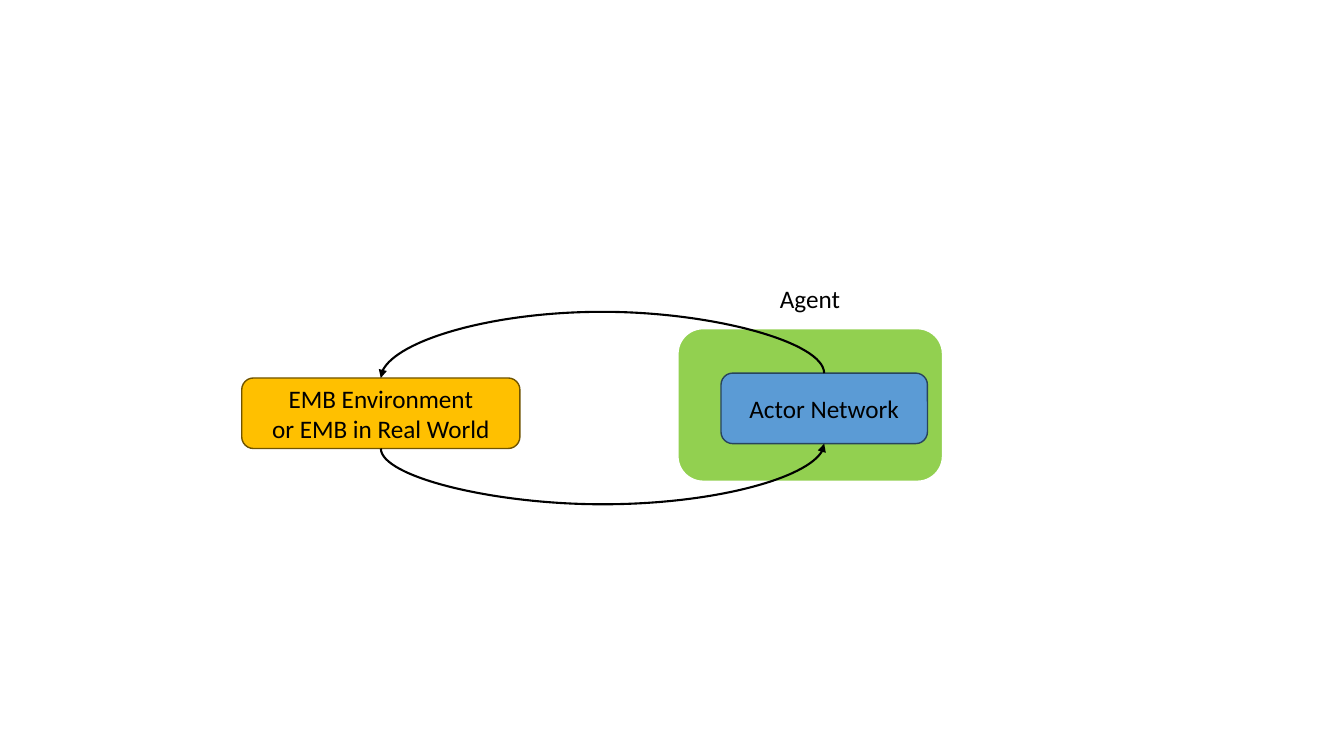
import pptx
import pptx.dml.color
import pptx.enum.shapes
import pptx.enum.text
import pptx.oxml.ns
import pptx.util
from lxml import etree

Pt = pptx.util.Pt
RGBColor = pptx.dml.color.RGBColor
qn = pptx.oxml.ns.qn
PP_ALIGN = pptx.enum.text.PP_ALIGN

BLACK = RGBColor(0x00, 0x00, 0x00)
WHITE = RGBColor(0xFF, 0xFF, 0xFF)
GREEN = RGBColor(0x92, 0xD0, 0x50)
BLUE = RGBColor(0x5B, 0x9B, 0xD5)
NAVY = RGBColor(0x28, 0x44, 0x5D)
AMBER = RGBColor(0xFF, 0xC0, 0x00)
BROWN = RGBColor(0x70, 0x54, 0x00)


class Diagram:
    """Draws boxes, labels and curved arrows in one style on one slide."""

    font_name = "Calibri"
    font_size = Pt(18)
    arrow_width = Pt(1.5)

    def __init__(self, slide):
        self.shapes = slide.shapes

    def add_lines(self, frame, lines, align):
        for index, line in enumerate(lines):
            paragraph = frame.add_paragraph() if index else frame.paragraphs[0]
            paragraph.alignment = align
            run = paragraph.add_run()
            run.text = line
            run.font.name = self.font_name
            run.font.size = self.font_size
            run.font.color.rgb = BLACK

    def box(self, left, top, width, height, fill, outline, outline_width, lines=()):
        box = self.shapes.add_shape(
            pptx.enum.shapes.MSO_SHAPE.ROUNDED_RECTANGLE,
            Pt(left), Pt(top), Pt(width), Pt(height))
        box.shadow.inherit = False
        box.fill.solid()
        box.fill.fore_color.rgb = fill
        box.line.color.rgb = outline
        box.line.width = Pt(outline_width)
        box.text_frame.vertical_anchor = pptx.enum.text.MSO_ANCHOR.MIDDLE
        self.add_lines(box.text_frame, lines, PP_ALIGN.CENTER)
        return box

    def label(self, left, top, width, height, text):
        label = self.shapes.add_textbox(Pt(left), Pt(top), Pt(width), Pt(height))
        label.text_frame.word_wrap = True
        label.text_frame.auto_size = pptx.enum.text.MSO_AUTO_SIZE.SHAPE_TO_FIT_TEXT
        self.add_lines(label.text_frame, [text], PP_ALIGN.LEFT)

    def arc(self, start, end, depth, rotation):
        (start_x, start_y), (end_x, end_y) = start, end
        center_x, center_y = (start_x + end_x) // 2, (start_y + end_y) // 2
        drop, span = abs(end_y - start_y), abs(end_x - start_x)
        left, top = center_x - drop // 2, center_y - span // 2
        arc = self.shapes.add_connector(
            pptx.enum.shapes.MSO_CONNECTOR.CURVE, left + drop, top + span, left, top)
        arc.line.color.rgb = BLACK
        arc.line.width = self.arrow_width
        properties = arc._element.spPr
        properties.find(qn("a:xfrm")).set("rot", str(rotation * 60000))
        guides = properties.find(qn("a:prstGeom")).get_or_add_avLst()
        bend = round(-100000 * Pt(depth) / drop)
        etree.SubElement(guides, qn("a:gd"), name="adj1", fmla=f"val {bend}")
        etree.SubElement(properties.find(qn("a:ln")), qn("a:tailEnd"), type="triangle")
        etree.SubElement(properties, qn("a:effectLst"))


def top_middle(box):
    """Return the middle of the top side."""
    return box.left + box.width // 2, box.top


def bottom_middle(box):
    """Return the middle of the bottom side."""
    return box.left + box.width // 2, box.top + box.height


def main():
    """Build the agent and environment loop."""
    presentation = pptx.Presentation()
    presentation.slide_width = Pt(960)
    presentation.slide_height = Pt(540)
    diagram = Diagram(presentation.slides.add_slide(presentation.slide_layouts[6]))

    diagram.box(484, 234.5, 189.5, 109.5, GREEN, WHITE, 1.5)
    actor = diagram.box(515, 266.5, 147.5, 50.4, BLUE, NAVY, 1, ["Actor Network"])
    environment = diagram.box(172.7, 270, 198.7, 50.4, AMBER, BROWN, 1,
                              ["EMB Environment", "or EMB in Real World"])
    diagram.arc(top_middle(actor), top_middle(environment), 44, 270)
    diagram.label(550, 199, 101.5, 29, "Agent")
    diagram.arc(bottom_middle(environment), bottom_middle(actor), 40, 90)

    presentation.save("out.pptx")


if __name__ == "__main__":
    main()
